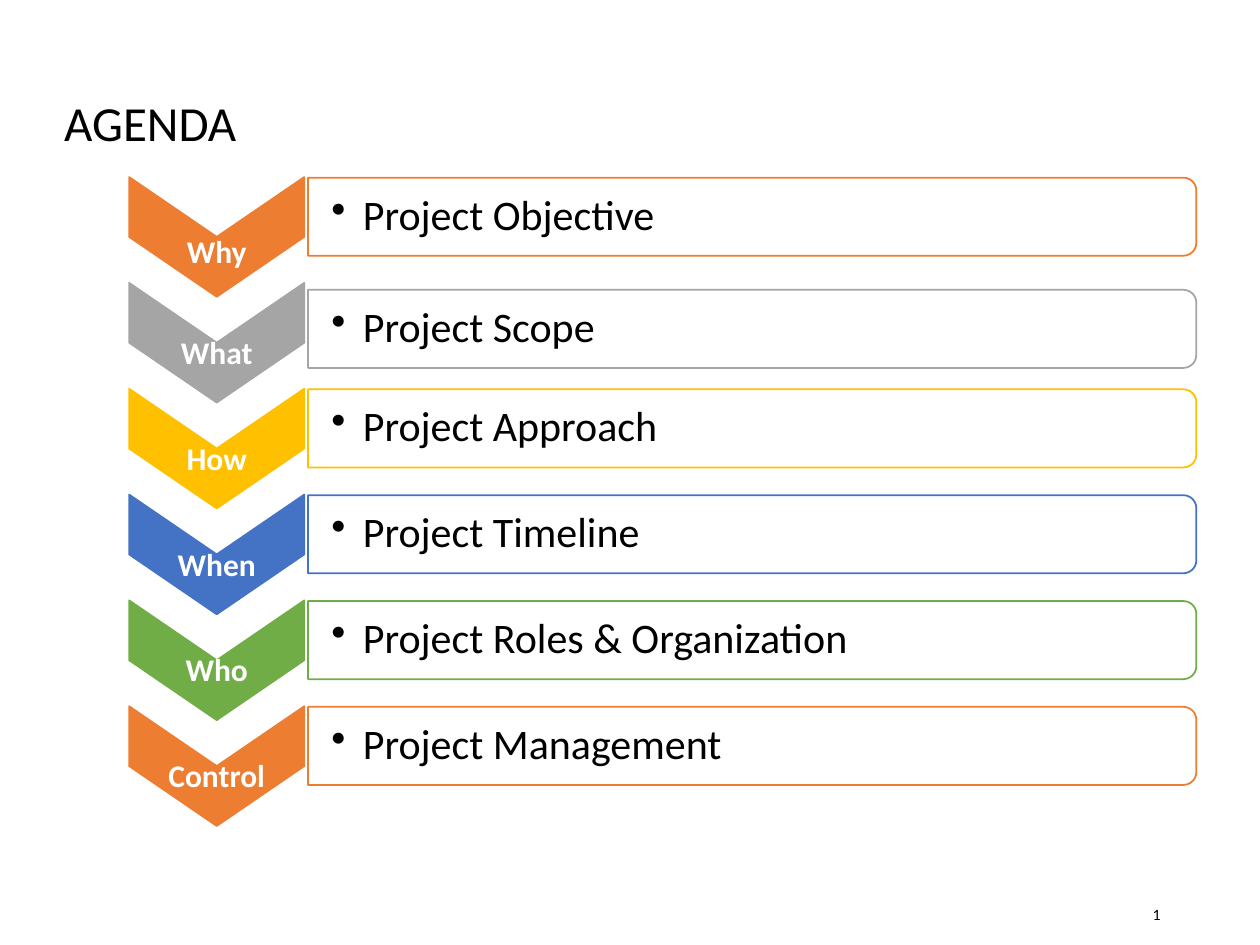
"""Build the agenda slide: six chevrons, each leading to a bar with its topic."""
from lxml import etree
from pptx import Presentation
from pptx.dml.color import RGBColor
from pptx.enum.shapes import MSO_SHAPE
from pptx.enum.text import MSO_ANCHOR, PP_ALIGN
from pptx.oxml.ns import qn
from pptx.util import Inches, Pt

CHEVRON, BAR = MSO_SHAPE.CHEVRON, MSO_SHAPE.ROUND_2_SAME_RECTANGLE
MIDDLE = MSO_ANCHOR.MIDDLE
LEFT, CENTER, RIGHT = PP_ALIGN.LEFT, PP_ALIGN.CENTER, PP_ALIGN.RIGHT

FONT = "Calibri"
BLACK = RGBColor(0x00, 0x00, 0x00)
WHITE = RGBColor(0xFF, 0xFF, 0xFF)
ORANGE = RGBColor(0xED, 0x7D, 0x31)
GRAY = RGBColor(0xA5, 0xA5, 0xA5)
GOLD = RGBColor(0xFF, 0xC0, 0x00)
BLUE = RGBColor(0x44, 0x72, 0xC4)
GREEN = RGBColor(0x70, 0xAD, 0x47)

TITLE = "AGENDA"
PAGE_NUMBER = "1"
AGENDA = [
    {"question": "Why", "topic": "Project Objective", "color": ORANGE, "label_inset": 0.27},
    {"question": "What", "topic": "Project Scope", "color": GRAY, "bar_shift": 0.05},
    {"question": "How", "topic": "Project Approach", "color": GOLD},
    {"question": "When", "topic": "Project Timeline", "color": BLUE},
    {"question": "Who", "topic": "Project Roles & Organization", "color": GREEN},
    {"question": "Control", "topic": "Project Management", "color": ORANGE},
]

ROW_PITCH = 0.84
CHEVRON_LENGTH, CHEVRON_SPAN = 0.95, 1.39
CHEVRON_CENTER_X, FIRST_CHEVRON_Y = 1.72, 1.88
BAR_THICKNESS, BAR_LENGTH = 0.62, 7.05
BAR_CENTER_X, FIRST_BAR_Y = 5.97, 1.72
TOPIC_WIDTH, TOPIC_HEIGHT = 7.02, 0.56
LABEL_INSET = 0.19


def centered_box(center_x, center_y, width, height):
    return [Inches(value) for value in
            (center_x - width / 2, center_y - height / 2, width, height)]


def format_text(shape, text, size, color, insets, align=LEFT, bold=False, spacing=0.9):
    frame = shape.text_frame
    frame.word_wrap = True
    frame.vertical_anchor = MIDDLE
    frame.margin_left, frame.margin_top, frame.margin_right, frame.margin_bottom = map(Inches, insets)
    paragraph = frame.paragraphs[0]
    paragraph.text = text
    paragraph.alignment = align
    paragraph.line_spacing = spacing
    paragraph.font.name = FONT
    paragraph.font.size = Pt(size)
    paragraph.font.bold = bold
    paragraph.font.color.rgb = color
    return paragraph


def add_turned_shape(shapes, kind, box, fill, line):
    shape = shapes.add_shape(kind, *box)
    shape.rotation = 90
    shape.shadow.inherit = False
    shape.fill.solid()
    shape.fill.fore_color.rgb = fill
    shape.line.color.rgb = line
    shape.line.width = Pt(1)
    return shape


def set_opacity(shape, percent):
    color = shape.fill._xPr.find(qn("a:solidFill"))[0]
    etree.SubElement(color, qn("a:alpha"), val=str(percent * 1000))


def add_bullet(paragraph):
    properties = paragraph._p.get_or_add_pPr()
    properties.set("marL", str(Inches(0.25)))
    properties.set("indent", str(-Inches(0.25)))
    bullet = etree.Element(qn("a:buChar"), char="•")
    defaults = properties.find(qn("a:defRPr"))
    if defaults is None:
        properties.append(bullet)
    else:
        defaults.addprevious(bullet)


def add_agenda_row(shapes, index, item):
    chevron_y = FIRST_CHEVRON_Y + index * ROW_PITCH
    bar_y = FIRST_BAR_Y + index * ROW_PITCH + item.get("bar_shift", 0)

    add_turned_shape(
        shapes, CHEVRON,
        centered_box(CHEVRON_CENTER_X, chevron_y, CHEVRON_LENGTH, CHEVRON_SPAN),
        item["color"], item["color"])
    label = shapes.add_textbox(
        *centered_box(CHEVRON_CENTER_X, chevron_y, CHEVRON_SPAN, CHEVRON_LENGTH))
    label_inset = item.get("label_inset", LABEL_INSET)
    format_text(label, item["question"], 18, WHITE, (0.01, label_inset, 0.01, 0.01), CENTER, True)

    bar = add_turned_shape(
        shapes, BAR, centered_box(BAR_CENTER_X, bar_y, BAR_THICKNESS, BAR_LENGTH),
        WHITE, item["color"])
    set_opacity(bar, 90)
    topic = shapes.add_textbox(*centered_box(BAR_CENTER_X - 0.02, bar_y, TOPIC_WIDTH, TOPIC_HEIGHT))
    add_bullet(format_text(topic, item["topic"], 24, BLACK, (0.19, 0.02, 0.02, 0.02)))


def main():
    presentation = Presentation()
    presentation.slide_width, presentation.slide_height = Inches(10), Inches(7.5)
    slide = presentation.slides.add_slide(presentation.slide_layouts[5])

    title = slide.shapes.title
    title.left, title.top, title.width, title.height = map(Inches, (0.41, 0.67, 7.26, 0.66))
    format_text(title, TITLE, 28, BLACK, (0.1, 0.05, 0.1, 0.05))

    number = slide.shapes.add_textbox(*map(Inches, (7.06, 7.06, 2.25, 0.4)))
    format_text(number, PAGE_NUMBER, 9, BLACK, (0.1, 0.05, 0.1, 0.05), RIGHT, spacing=1.0)

    group = slide.shapes.add_group_shape()
    for index, item in enumerate(AGENDA):
        add_agenda_row(group.shapes, index, item)

    presentation.save("out.pptx")


if __name__ == "__main__":
    main()
